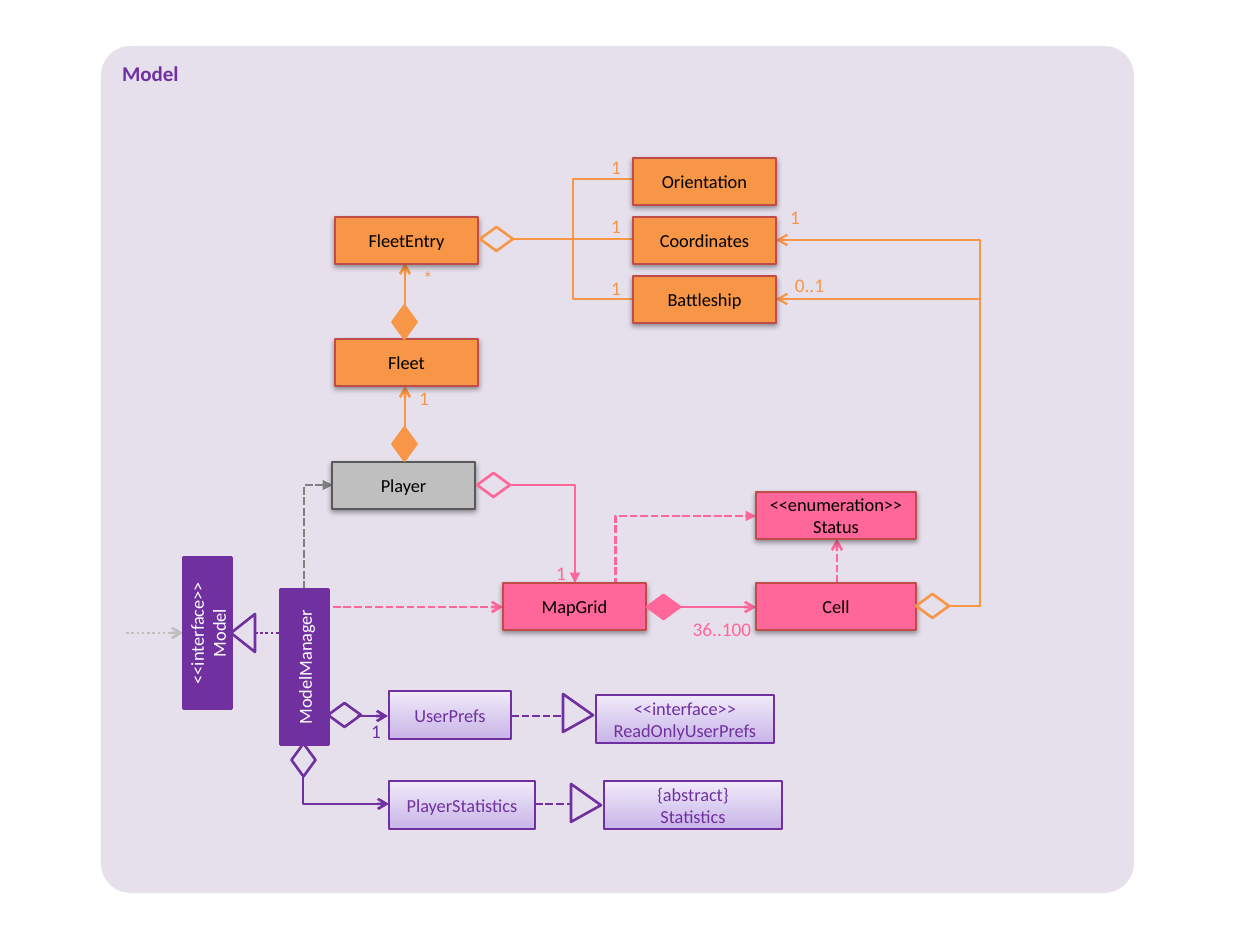
from pptx import Presentation
from pptx.dml.color import RGBColor
from pptx.enum.dml import MSO_LINE
from pptx.enum.shapes import MSO_CONNECTOR, MSO_SHAPE
from pptx.enum.text import MSO_ANCHOR, PP_ALIGN
from pptx.oxml.ns import qn
from pptx.oxml.xmlchemy import OxmlElement
from pptx.util import Emu, Pt

RECT, ROUND = MSO_SHAPE.RECTANGLE, MSO_SHAPE.ROUNDED_RECTANGLE
RHOMB, TRI = MSO_SHAPE.FLOWCHART_DECISION, MSO_SHAPE.ISOSCELES_TRIANGLE
LINE, ELBOW = MSO_CONNECTOR.STRAIGHT, MSO_CONNECTOR.ELBOW
DASH, DOT = MSO_LINE.SQUARE_DOT, MSO_LINE.ROUND_DOT
LEFT, MID = PP_ALIGN.LEFT, PP_ALIGN.CENTER
TOP, CENTER = MSO_ANCHOR.TOP, MSO_ANCHOR.MIDDLE
SCALE = 914400 / 126  # EMU in one px


class Theme:
    font = "Calibri"
    title, body, note = 12, 10.5, 11
    panel, plum, pink, gold = "E6E0EC", "7030A0", "FF6699", "F79646"
    gray, dark, ink, white = "BFBFBF", "808080", "000000", "FFFFFF"
    fade = ("C9B5E8", "F0EAF9")
    thin, wide = 1.25, 1.5
    # kind: fill, edge, edge width, text colour, shadow
    kinds = {
        "gold": (gold, "BF4C48", 0.75, ink, True),
        "pink": (pink, "BF4C48", 0.75, ink, True),
        "gray": (gray, "595959", 0.75, ink, True),
        "plum": (plum, plum, wide, white, False),
        "fade": (fade, plum, wide, plum, False),
    }


def px(*nums):
    return [Emu(round(n * SCALE)) for n in nums]


def rgb(code):
    return RGBColor.from_string(code)


def put(item, vals):
    for key, val in vals.items():
        setattr(item, key, val)


def node(parent, tag, **vals):
    child = OxmlElement(tag)
    for key, val in vals.items():
        child.set(key, str(val))
    parent.append(child)
    return child


class Board:
    def __init__(self, slide, theme):
        self.shapes, self.theme = slide.shapes, theme

    def letter(self, shape, text, size, color, align=MID, anchor=CENTER, bold=False):
        frame = shape.text_frame
        put(frame, {"text": text, "word_wrap": True, "vertical_anchor": anchor})
        for para in frame.paragraphs:
            para.alignment = align
            for run in para.runs:
                put(run.font, {"name": self.theme.font, "size": Pt(size), "bold": bold})
                run.font.color.rgb = rgb(color)
        return frame

    def shape(self, kind, at, fill=None, edge=None, width=Theme.wide, turn=0):
        item = self.shapes.add_shape(kind, *px(*at))
        item.rotation = turn
        item.shadow.inherit = False
        if fill is None:
            item.fill.background()
        elif isinstance(fill, tuple):
            item.fill.gradient()
            item.fill.gradient_angle = 90
            for stop, code in zip(item.fill.gradient_stops, fill):
                stop.color.rgb = rgb(code)
        else:
            item.fill.solid()
            item.fill.fore_color.rgb = rgb(fill)
        if edge:
            item.line.color.rgb = rgb(edge)
            item.line.width = Pt(width)
        else:
            item.line.fill.background()
        return item

    def panel(self, text, at):
        item = self.shape(ROUND, at, self.theme.panel)
        item.adjustments[0] = 0.035
        self.letter(item, text, self.theme.title, self.theme.plum, LEFT, TOP, True)

    def box(self, text, kind, at, turn=0):
        fill, edge, width, ink, shade = self.theme.kinds[kind]
        item = self.shape(RECT, at, fill, edge, width, turn)
        self.letter(item, text, self.theme.body, ink)
        if shade:
            effect = item._element.spPr.find(qn("a:effectLst"))
            cast = node(effect, "a:outerShdw", blurRad=40000, dist=20000,
                        dir=5400000, rotWithShape=0)
            node(node(cast, "a:srgbClr", val=self.theme.ink), "a:alpha", val=38000)

    def rhomb(self, x, y, color, fill=None, turn=0):
        self.shape(RHOMB, (x, y, 33, 24), fill, color, turn=turn)

    def tri(self, at, turn, fill=None, peak=0.5):
        item = self.shape(TRI, at, fill, self.theme.plum, turn=turn)
        item.adjustments[0] = peak

    def label(self, text, color, x, y, wide=28):
        item = self.shapes.add_textbox(*px(x, y, wide, 25))
        frame = self.letter(item, text, self.theme.note, color, anchor=TOP)
        sides = ("left", "right", "top", "bottom")
        put(frame, {f"margin_{side}": 0 for side in sides})

    def link(self, ends, color, kind=LINE, width=Theme.wide, dash=None,
             head=None, tail=None, bend=None, corner=False):
        item = self.shapes.add_connector(kind, *px(*ends))
        put(item.line, {"width": Pt(width), "dash_style": dash})
        item.line.color.rgb = rgb(color)
        props = item._element.spPr
        for tag, tip in (("a:headEnd", head), ("a:tailEnd", tail)):
            if tip:
                node(props.find(qn("a:ln")), tag, type=tip)
        node(props, "a:effectLst")
        geom = props.find(qn("a:prstGeom"))
        if corner:
            geom.set("prst", "bentConnector2")
        if bend is not None:
            guides = geom.find(qn("a:avLst"))
            node(guides, "a:gd", name="adj1", fmla=f"val {round(bend * 100000)}")


def main():
    deck = Presentation()
    put(deck, dict(zip(("slide_width", "slide_height"), px(1260, 945))))
    theme = Theme()
    board = Board(deck.slides.add_slide(deck.slide_layouts[6]), theme)
    plum, pink, gold = theme.plum, theme.pink, theme.gold

    board.panel("Model", (101, 46, 1033, 847))

    # Straight links
    for ends, color, form in (
        ((357, 716, 388, 716), plum, {"tail": "arrow"}),
        ((255, 633, 285, 633), plum, {"dash": DOT}),
        ((511, 716, 563, 716), plum, {"dash": DASH}),
        ((535, 804, 571, 804), plum, {"dash": DASH}),
        ((680, 607, 756, 607), pink, {"tail": "arrow"}),
        ((333, 607, 503, 607), pink, {"dash": DASH, "tail": "arrow"}),
        ((837, 583, 837, 539), pink, {"dash": DASH, "tail": "arrow"}),
        ((405, 427, 405, 386), gold, {"tail": "arrow"}),
        ((405, 263, 405, 314), gold, {"head": "arrow"}),
        ((572, 239, 633, 239), gold, {"width": theme.thin}),
    ):
        board.link(ends, color, **form)

    # Bent links
    for ends, color, form in (
        ((126, 633, 183, 633), theme.gray, {"dash": DOT, "tail": "arrow"}),
        ((647, 607, 756, 516), pink, {"dash": DASH, "tail": "triangle", "bend": -0.29}),
        ((333, 485, 304, 589), theme.dark,
         {"dash": DASH, "head": "triangle", "corner": True}),
        ((510, 485, 575, 583), pink, {"tail": "triangle", "corner": True}),
        ((389, 804, 303, 777), plum, {"head": "arrow", "corner": True}),
    ):
        board.link(ends, color, ELBOW, **form)
    for y in (299, 179):
        board.link((513, 239, 633, y), gold, ELBOW, theme.thin, bend=0.5)
    for y in (299, 240):
        board.link((776, y, 949, 606), gold, ELBOW, theme.thin, head="arrow", bend=1.18)

    # Class boxes
    for text, kind, x, y, wide in (
        ("Orientation", "gold", 633, 158, 143),
        ("Coordinates", "gold", 633, 217, 143),
        ("Battleship", "gold", 633, 276, 143),
        ("FleetEntry", "gold", 335, 217, 143),
        ("Fleet", "gold", 335, 339, 143),
        ("Player", "gray", 332, 462, 143),
        ("MapGrid", "pink", 503, 583, 143),
        ("Cell", "pink", 756, 583, 160),
        ("<<enumeration>>\nStatus", "pink", 756, 492, 160),
    ):
        board.box(text, kind, (x, y, wide, 47))
    for text, kind, x, y, wide, turn in (
        ("<<interface>>\nModel", "plum", 132, 609, 151, 270),
        ("ModelManager", "plum", 227, 643, 155, 270),
        ("UserPrefs", "fade", 389, 691, 122, 0),
        ("<<interface>>\nReadOnlyUserPrefs", "fade", 596, 695, 178, 0),
        ("PlayerStatistics", "fade", 389, 781, 146, 0),
        ("{abstract}\nStatistics", "fade", 604, 781, 178, 0),
    ):
        board.box(text, kind, (x, y, wide, 48), turn)

    # Inheritance triangles
    board.tri((224, 621, 38, 24), 270)
    for x, y in ((559, 698), (567, 788)):
        board.tri((x, y, 38, 30), 90, theme.panel, 0.56)

    # Aggregation and composition diamonds
    for x, y, color, fill, turn in (
        (328, 703, plum, None, 0),
        (287, 748, plum, None, 90),
        (477, 473, pink, None, 0),
        (647, 595, pink, pink, 0),
        (480, 227, gold, None, 0),
        (916, 594, gold, None, 0),
        (388, 432, gold, gold, 270),
        (388, 310, gold, gold, 270),
    ):
        board.rhomb(x, y, color, fill, turn)

    # Multiplicities
    for text, color, x, y, wide in (
        ("1", plum, 363, 719, 26),
        ("36..100", pink, 692, 617, 60),
        ("1", pink, 547, 561, 28),
        ("1", gold, 602, 155, 28),
        ("1", gold, 602, 214, 28),
        ("1", gold, 602, 276, 28),
        ("*", gold, 416, 266, 24),
        ("1", gold, 410, 386, 28),
        ("0..1", gold, 785, 273, 49),
        ("1", gold, 781, 205, 28),
    ):
        board.label(text, color, x, y, wide)

    deck.save("out.pptx")


if __name__ == "__main__":
    main()
